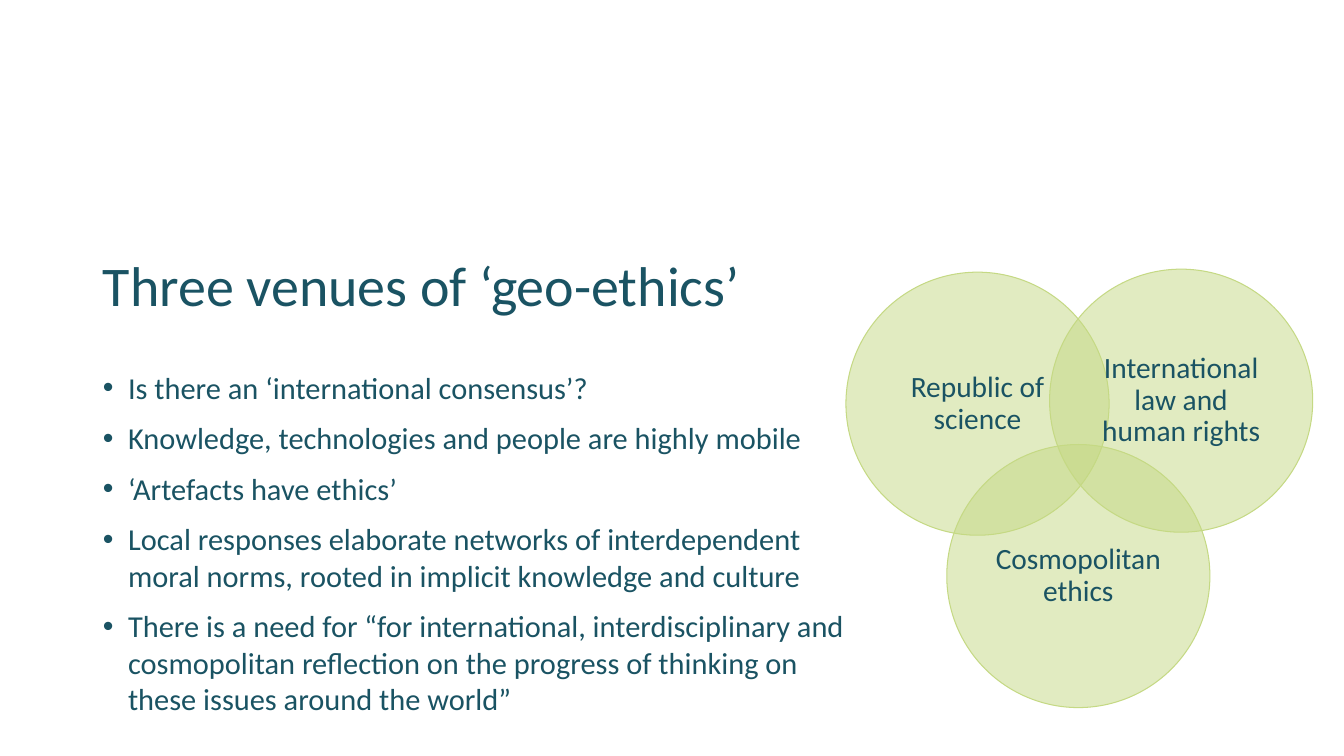
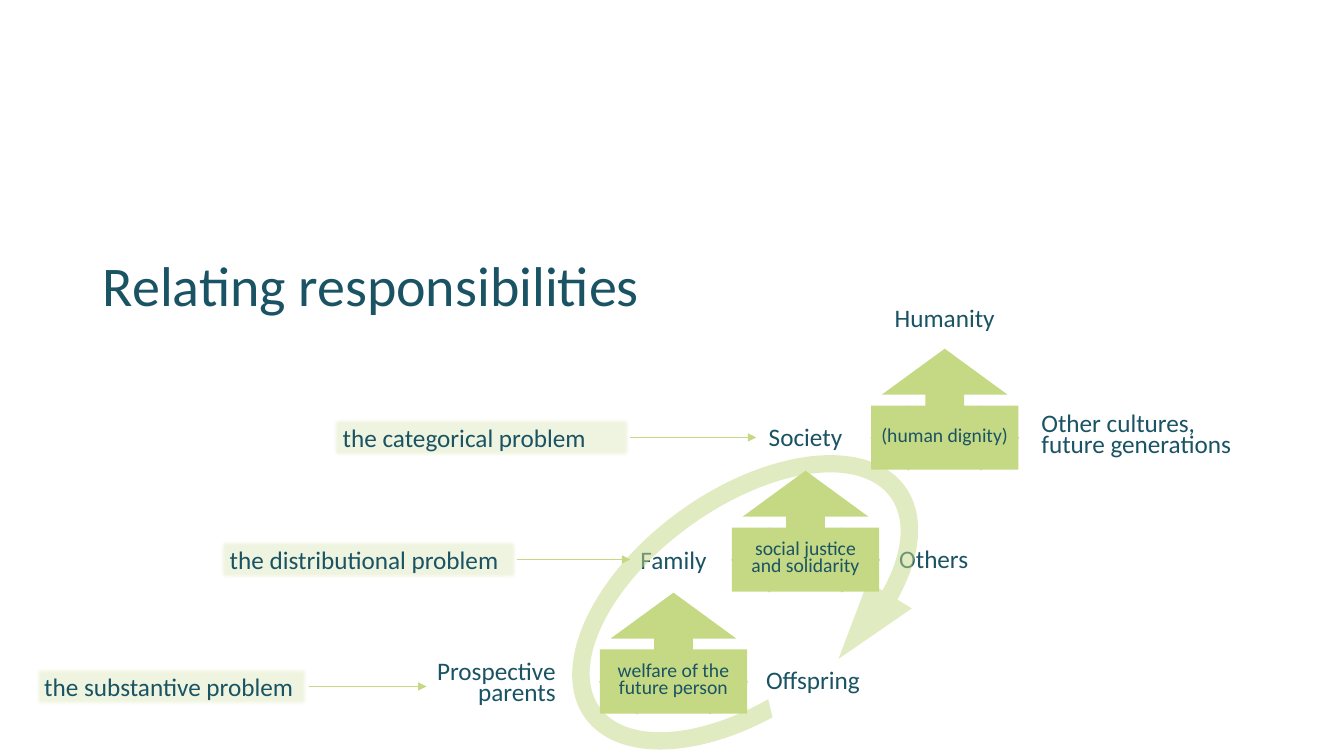
from lxml import etree
from pptx import Presentation
from pptx import util as u
from pptx.dml import color
from pptx.enum import shapes, text
from pptx.oxml import ns

CELL = u.Inches(1)
COLUMNS, ROWS = 13.33, 7.5
INK, LEAF = "1A5363", "C5D984"
FONT = "Calibri"
KIND = shapes.MSO_SHAPE
ALIGN = text.PP_ALIGN
ANCHOR = text.MSO_ANCHOR

TITLE_GRID = (0.92, 2.14, 11.5, 1.45)
BODY_GRID = (0.92, 3.61, 7.66, 3.64)

POINTS = [
    "Is there an ‘international consensus’?",
    "Knowledge, technologies and people are highly mobile",
    "‘Artefacts have ethics’",
    "Local responses elaborate networks of interdependent moral norms, "
    "rooted in implicit knowledge and culture",
    "There is a need for “for international, interdisciplinary and cosmopolitan "
    "reflection on the progress of thinking on these issues around the world”",
]

DIAMETER = 2.61
VENUES = [
    ("Republic of science", 8.39, 2.7),
    ("Cosmopolitan ethics", 9.39, 4.41),
    ("International law and human rights", 10.41, 2.67),
]

STEP_WIDTH, STEP_HEIGHT, STEP_RISE = 1.46, 1.2, 1.21
LOWEST_STEP = 5.88
HALF_ARROW = (0.72, 0.63)
STEPS = [
    dict(col=5.95, duty="welfare of the future person", above="Family", lift=0.53,
         beside="Offspring", beside_grid=(7.5, 6.54, 1.2, 0.4)),
    dict(col=7.26, duty="social justice and solidarity", above="Society", lift=0.54,
         beside="Others", beside_grid=(8.82, 5.34, 1.2, 0.4)),
    dict(col=8.64, duty="(human dignity)", above="Humanity", lift=0.51,
         beside="Other cultures, future generations",
         beside_grid=(10.23, 4.08, 2.41, 0.54), beside_spacing=u.Pt(15)),
]
PROBLEMS = [
    ("the substantive problem", 0.34, 6.61, 2.72, 4.23),
    ("the distributional problem", 2.18, 5.35, 2.95, 6.25),
    ("the categorical problem", 3.3, 4.14, 2.95, 7.5),
]


def cells(*lengths):
    return [int(length * CELL) for length in lengths]


def rgb(code):
    return color.RGBColor.from_string(code)


def assign(target, values):
    for name, value in values.items():
        setattr(target, name, value)


def add_xml(parent, tag, **attributes):
    return etree.SubElement(parent, ns.qn(tag), attributes)


def write(frame, wording, size, align=ALIGN.LEFT, spacing=1.0,
          anchor=ANCHOR.TOP, inset=None):
    assign(frame, dict(word_wrap=True, auto_size=text.MSO_AUTO_SIZE.NONE,
                       vertical_anchor=anchor))
    if inset is not None:
        sides = ("margin_left", "margin_top", "margin_right", "margin_bottom")
        assign(frame, dict.fromkeys(sides, u.Inches(inset)))
    paragraph = frame.paragraphs[0]
    paragraph.text = wording
    style(paragraph, size, align, spacing)


def style(paragraph, size, align=ALIGN.LEFT, spacing=1.0, before=0):
    assign(paragraph, dict(alignment=align, line_spacing=spacing,
                           space_before=u.Pt(before)))
    assign(paragraph.font, dict(name=FONT, size=u.Pt(size)))
    paragraph.font.color.rgb = rgb(INK)


def move(placeholder, grid):
    assign(placeholder, dict(zip(("left", "top", "width", "height"), cells(*grid))))


def add_titled_slide(deck, layout, wording):
    slide = deck.slides.add_slide(deck.slide_layouts[layout])
    title = slide.shapes.title
    move(title, TITLE_GRID)
    write(title.text_frame, wording, 40, spacing=0.9, anchor=ANCHOR.MIDDLE)
    return slide


def add_bullets(slide, points):
    body = slide.placeholders[1]
    move(body, BODY_GRID)
    frame = body.text_frame
    assign(frame, dict(word_wrap=True, auto_size=text.MSO_AUTO_SIZE.NONE))
    for number, point in enumerate(points):
        paragraph = frame.add_paragraph() if number else frame.paragraphs[0]
        paragraph.text = point
        properties = paragraph._p.get_or_add_pPr()
        indent = u.Inches(0.25)
        properties.set("marL", str(indent))
        properties.set("indent", str(-indent))
        add_xml(properties, "a:buFont", typeface="Arial")
        add_xml(properties, "a:buChar", char="•")
        style(paragraph, 21.7, before=10 if number else 0)


def add_figure(slide, kind, grid, opacity=100, outline=None, adjustments=(), turn=0):
    figure = slide.shapes.add_shape(kind, *cells(*grid))
    figure.shadow.inherit = False
    figure.rotation = turn
    for number, value in enumerate(adjustments):
        figure.adjustments[number] = value
    figure.fill.solid()
    figure.fill.fore_color.rgb = rgb(LEAF)
    if opacity < 100:
        tint = figure.fill._xPr.find(ns.qn("a:solidFill"))[0]
        add_xml(tint, "a:alpha", val=str(opacity * 1000))
    if outline:
        figure.line.color.rgb = rgb(LEAF)
        figure.line.width = u.Pt(outline)
    else:
        figure.line.fill.background()
    return figure


def add_label(slide, wording, grid, **layout):
    label = slide.shapes.add_textbox(*cells(*grid))
    write(label.text_frame, wording, 18, **layout)


def add_pointer(slide, start, end, row):
    pointer = slide.shapes.add_connector(
        shapes.MSO_CONNECTOR.STRAIGHT, *cells(start, row, end, row))
    pointer.line.color.rgb = rgb(LEAF)
    pointer.line.width = u.Pt(0.5)
    add_xml(pointer.line._get_or_add_ln(), "a:tailEnd", type="triangle")
    add_xml(pointer._element.spPr, "a:effectLst")


def add_venue(slide, wording, col, row):
    venue = add_figure(slide, KIND.OVAL, (col, row, DIAMETER, DIAMETER),
                       opacity=50, outline=0.75)
    write(venue.text_frame, wording, 21, ALIGN.CENTER, 0.9, ANCHOR.MIDDLE, 0.09)


def add_step(slide, row, col, duty, above, lift, beside, beside_grid, beside_spacing=1.0):
    add_label(slide, beside, beside_grid, spacing=beside_spacing)
    width, height = HALF_ARROW
    base = row + STEP_HEIGHT - height
    for start, turn in ((col + STEP_WIDTH - width, 0), (col, 180)):
        add_figure(slide, KIND.STRIPED_RIGHT_ARROW, (start, base, width, height),
                   outline=1, adjustments=(0.56, 0.59), turn=turn)
    add_label(slide, above, (col, row - lift, STEP_WIDTH, 0.4), align=ALIGN.CENTER)
    callout = add_figure(slide, KIND.UP_ARROW_CALLOUT,
                         (col, row, STEP_WIDTH, STEP_HEIGHT),
                         adjustments=(0.32, 0.52, 0.38, 0.53))
    write(callout.text_frame, duty, 14, ALIGN.CENTER, u.Pt(12), ANCHOR.MIDDLE)


def add_problem(slide, wording, col, row, width, target):
    height = 0.4
    problem = add_figure(slide, KIND.RECTANGLE, (col, row, width, height), opacity=25)
    effects = problem._element.spPr.find(ns.qn("a:effectLst"))
    add_xml(effects, "a:softEdge", rad=str(u.Pt(2.5)))
    write(problem.text_frame, wording, 18)
    add_pointer(slide, col + width, target, row + height / 2)


def build_venues(deck):
    slide = add_titled_slide(deck, 1, "Three venues of ‘geo-ethics’")
    add_bullets(slide, POINTS)
    for venue in VENUES:
        add_venue(slide, *venue)


def build_responsibilities(deck):
    slide = add_titled_slide(deck, 5, "Relating responsibilities")
    add_label(slide, "Prospective parents", (4.23, 6.54, 1.38, 0.54),
              align=ALIGN.RIGHT, spacing=u.Pt(15))
    for level, step in enumerate(STEPS):
        add_step(slide, LOWEST_STEP - level * STEP_RISE, **step)
    for problem in PROBLEMS:
        add_problem(slide, *problem)
    add_figure(slide, KIND.CIRCULAR_ARROW, (6.11, 3.85, 2.56, 4.25), opacity=50,
               adjustments=(0.07, 20.48, 73.81, 121.5, 0.1), turn=234.1)


def main():
    deck = Presentation()
    deck.slide_width, deck.slide_height = cells(COLUMNS, ROWS)
    build_venues(deck)
    build_responsibilities(deck)
    deck.save("out.pptx")


if __name__ == "__main__":
    main()
